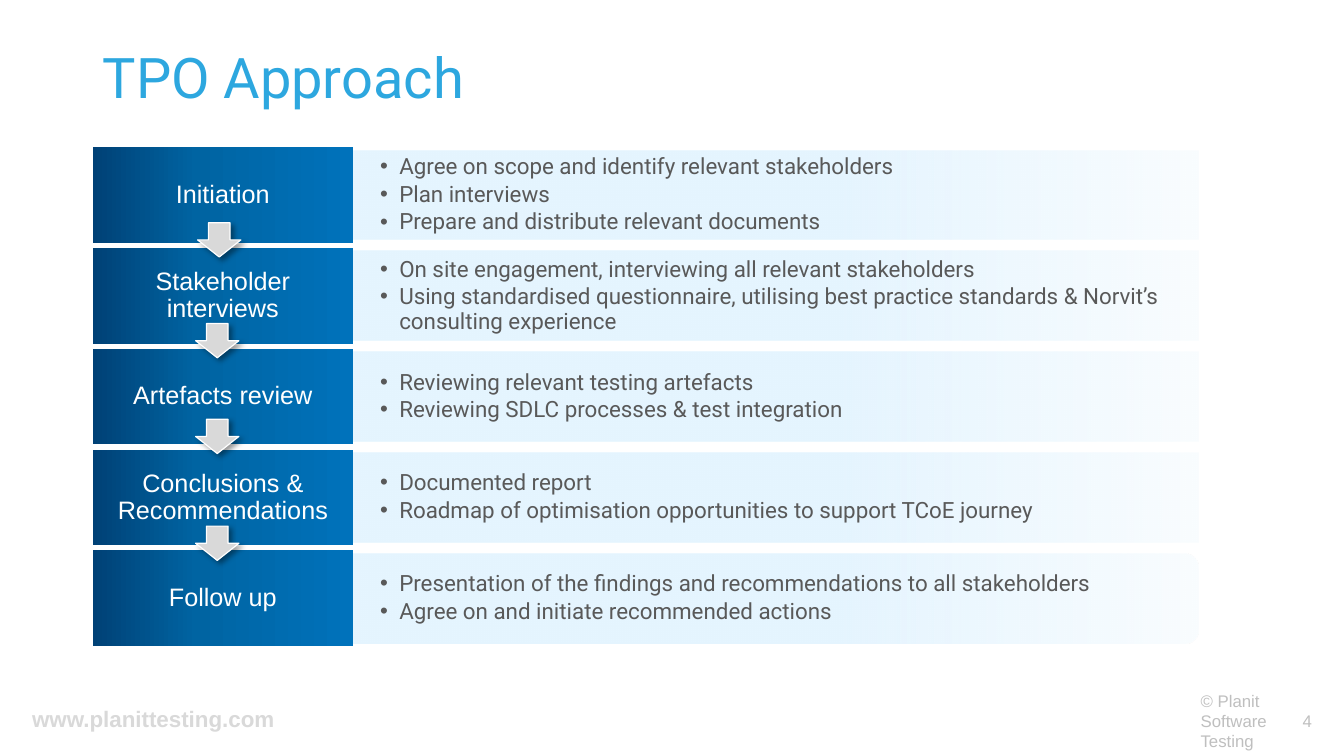
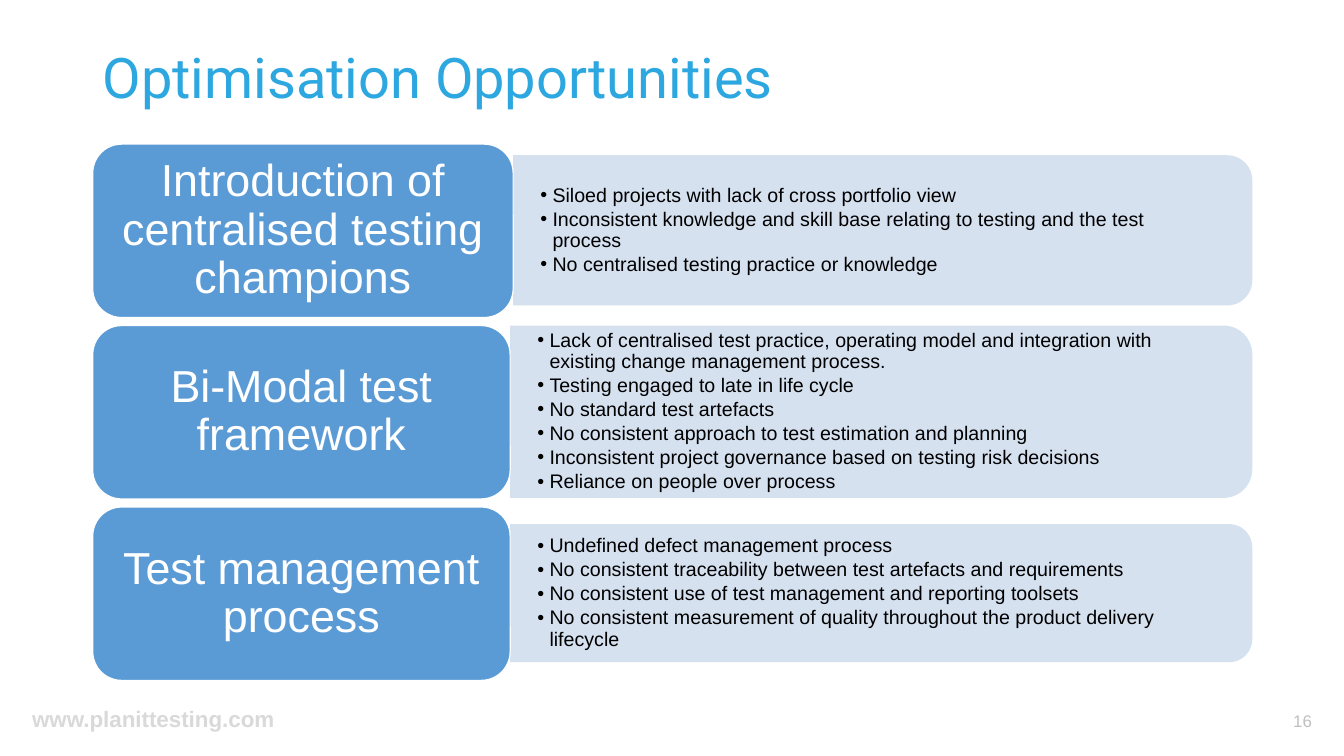
from lxml import etree
from pptx import Presentation
from pptx.dml.color import RGBColor
from pptx.enum import shapes, text
from pptx.oxml import ns
from pptx.util import Inches, Pt

KIND = shapes.MSO_SHAPE
ALIGN = text.PP_ALIGN
A = ns.nsdecls("a")

# Theme: colours, type styles and effects
THEME = {
    "label_gradient": [(0, "004176", 100), (40, "0064A2", 100), (100, "0072BB", 100)],
    "panel_gradient": [(0, "E5F5FF", 100), (57, "E5F5FF", 100), (100, "E5F5FF", 20)],
    "card": [(0, "5B9BD5", 100)],
    "card_panel": [(0, "D2DEEF", 90)],
    "arrow": [(0, "D9D9D9", 100)],
    "outline": "FFFFFF",
    "title": {"name": "Roboto", "size": 40, "color": "2DA7DF", "spacing": 0.9},
    "site": {"name": "Arial", "size": 16, "color": "D9D9D9", "bold": True},
    "footer": {"name": "Arial", "size": 12, "color": "BFBFBF"},
    "number": {"name": "Arial", "size": 12, "color": "BFBFBF", "align": ALIGN.RIGHT},
    "step": {"name": "Arial", "size": 18, "color": "FFFFFF", "spacing": 0.9,
             "align": ALIGN.CENTER},
    "step_points": {"name": "Roboto", "size": 16, "color": "595959", "spacing": 0.9,
                    "after": 2.5, "indent": 0.19},
    "topic": {"name": "Arial", "size": 32, "color": "FFFFFF", "spacing": 0.9,
              "align": ALIGN.CENTER},
    "topic_points": {"name": "Arial", "size": 14, "color": "000000", "spacing": 0.9,
                     "after": 2, "indent": 0.12},
}


def write(owner, lines, style_name, margins=(0.1, 0.05), anchor=text.MSO_ANCHOR.MIDDLE):
    """Fill a shape or text box with paragraphs in one theme style."""
    style = THEME[style_name]
    frame = owner.text_frame
    across, down = (Inches(m) for m in margins)
    frame_format = {"word_wrap": True, "vertical_anchor": anchor, "margin_left": across,
                    "margin_right": across, "margin_top": down, "margin_bottom": down}
    for name, value in frame_format.items():
        setattr(frame, name, value)
    for i, line in enumerate(lines):
        paragraph = frame.add_paragraph() if i else frame.paragraphs[0]
        paragraph.text = line
        paragraph_format = {"alignment": style.get("align", ALIGN.LEFT),
                            "line_spacing": style.get("spacing", 1.0),
                            "space_after": Pt(style.get("after", 0))}
        for name, value in paragraph_format.items():
            setattr(paragraph, name, value)
        if "indent" in style:
            props = paragraph._p.get_or_add_pPr()
            indent = Inches(style["indent"])
            props.set("marL", str(indent))
            props.set("indent", str(-indent))
            etree.SubElement(props, ns.qn("a:buFont")).set("typeface", "Arial")
            etree.SubElement(props, ns.qn("a:buChar")).set("char", "•")
        font = paragraph.runs[0].font
        font_format = {"name": style["name"], "size": Pt(style["size"]),
                       "bold": style.get("bold", False)}
        for name, value in font_format.items():
            setattr(font, name, value)
        font.color.rgb = RGBColor.from_string(style["color"])


def draw(slide, kind, box, fill_name, outlined=False):
    """Add a filled shape; one that rounds its top is turned to round its right side."""
    left, top, width, height = box
    turned = kind == KIND.ROUND_2_SAME_RECTANGLE
    if turned:
        left, top = left + (width - height) / 2, top + (height - width) / 2
        width, height = height, width
    shape = slide.shapes.add_shape(kind, *map(Inches, (left, top, width, height)))
    shape.rotation = 90 if turned else 0
    shape.shadow.inherit = False
    if outlined:
        shape.line.color.rgb = RGBColor.from_string(THEME["outline"])
        shape.line.width = Pt(0.85)
    else:
        shape.line.fill.background()
    stops = THEME[fill_name]
    colors = [f'<a:srgbClr val="{color}"><a:alpha val="{alpha * 1000}"/></a:srgbClr>'
              for _, color, alpha in stops]
    if len(stops) == 1:
        fill = f"<a:solidFill {A}>{colors[0]}</a:solidFill>"
    else:
        marks = "".join(f'<a:gs pos="{stop[0] * 1000}">{color}</a:gs>'
                        for stop, color in zip(stops, colors))
        fill = (f'<a:gradFill {A} rotWithShape="0"><a:gsLst>{marks}</a:gsLst>'
                '<a:lin ang="0" scaled="0"/></a:gradFill>')
    shape._element.spPr.find(ns.qn("a:prstGeom")).addnext(etree.fromstring(fill))
    return shape


deck = Presentation()
deck.slide_width, deck.slide_height = Inches(13.33), Inches(7.5)

# Title, site address and page number on both slides
pages = []
for heading, number in [("TPO Approach", "4"), ("Optimisation Opportunities", "16")]:
    page = deck.slides.add_slide(deck.slide_layouts[6])
    pages.append(page)
    for line, style_name, box, anchor in [
        ("www.planittesting.com", "site", (0.22, 6.95, 6.27, 0.37), text.MSO_ANCHOR.TOP),
        (heading, "title", (0.92, 0.4, 11.5, 0.79), text.MSO_ANCHOR.MIDDLE),
        (number, "number", (12.6, 6.95, 0.51, 0.4), text.MSO_ANCHOR.MIDDLE),
    ]:
        write(page.shapes.add_textbox(*map(Inches, box)), [line], style_name, anchor=anchor)
approach, opportunities = pages

# Approach: copyright line
copyright_line = approach.shapes.add_textbox(*map(Inches, (11.81, 6.95, 1.3, 0.4)))
write(copyright_line, ["© Planit Software Testing"], "footer")

# Approach: one row per step
steps = [
    ("Initiation", [
        "Agree on scope and identify relevant stakeholders",
        "Plan interviews",
        "Prepare and distribute relevant documents"]),
    ("Stakeholder interviews", [
        "On site engagement, interviewing all relevant stakeholders",
        "Using standardised questionnaire, utilising best practice standards & "
        "Norvit’s consulting experience"]),
    ("Artefacts review", [
        "Reviewing relevant testing artefacts",
        "Reviewing SDLC processes & test integration"]),
    ("Conclusions & Recommendations", [
        "Documented report",
        "Roadmap of optimisation opportunities to support TCoE journey"]),
    ("Follow up", [
        "Presentation of the findings and recommendations to all stakeholders",
        "Agree on and initiate recommended actions"]),
]
for row, (step, points) in enumerate(steps):
    top = 1.46 + row
    is_last = row == len(steps) - 1
    panel_box = (3.5, top + 0.03, 8.39, 0.89)
    draw(approach, KIND.ROUND_2_SAME_RECTANGLE if is_last else KIND.RECTANGLE,
         panel_box, "panel_gradient")
    write(approach.shapes.add_textbox(*map(Inches, panel_box)), points, "step_points",
          (0.27, 0))
    label = draw(approach, KIND.RECTANGLE, (0.92, top, 2.58, 0.95), "label_gradient")
    write(label, [step], "step", (0.07, 0.04))

# Approach: arrows from step to step
for left, top in [(1.96, 2.21), (1.94, 3.21), (1.94, 4.16), (1.94, 5.22)]:
    arrow = draw(approach, KIND.DOWN_ARROW, (left, top, 0.43, 0.34), "arrow", outlined=True)
    effects = arrow._element.spPr.find(ns.qn("a:effectLst"))
    effects.append(etree.fromstring(
        f'<a:outerShdw {A} blurRad="{Pt(4)}" dist="{Pt(3)}" dir="2700000" algn="tl" '
        'rotWithShape="0"><a:srgbClr val="000000"><a:alpha val="40000"/></a:srgbClr>'
        '</a:outerShdw>'))

# Opportunities: one card per topic, with panel left, top and height
topics = [
    ("Introduction of centralised testing champions", (5.09, 1.54, 1.49), [
        "Siloed projects with lack of cross portfolio view",
        "Inconsistent knowledge and skill base relating to testing and the test process",
        "No centralised testing practice or knowledge"]),
    ("Bi-Modal test framework", (5.06, 3.23, 1.71), [
        "Lack of centralised test practice, operating model and integration with "
        "existing change management process.",
        "Testing engaged to late in life cycle",
        "No standard test artefacts",
        "No consistent approach to test estimation and planning",
        "Inconsistent project governance based on testing risk decisions",
        "Reliance on people over process"]),
    ("Test management process", (5.06, 5.2, 1.37), [
        "Undefined defect management process",
        "No consistent traceability between test artefacts and requirements",
        "No consistent use of test management and reporting toolsets",
        "No consistent measurement of quality throughout the product delivery lifecycle"]),
]
for row, (topic, (left, top, height), points) in enumerate(topics):
    draw(opportunities, KIND.ROUND_2_SAME_RECTANGLE, (left, top, 12.42 - left, height),
         "card_panel")
    points_box = opportunities.shapes.add_textbox(
        *map(Inches, (left, top, 12.35 - left, height)))
    write(points_box, points, "topic_points", (0.27, 0))
    card = draw(opportunities, KIND.ROUNDED_RECTANGLE,
                (0.92, 1.43 + 1.8 * row, left - 0.92, 1.72), "card", outlined=True)
    write(card, [topic], "topic", (0.13, 0.07))

deck.save("out.pptx")
